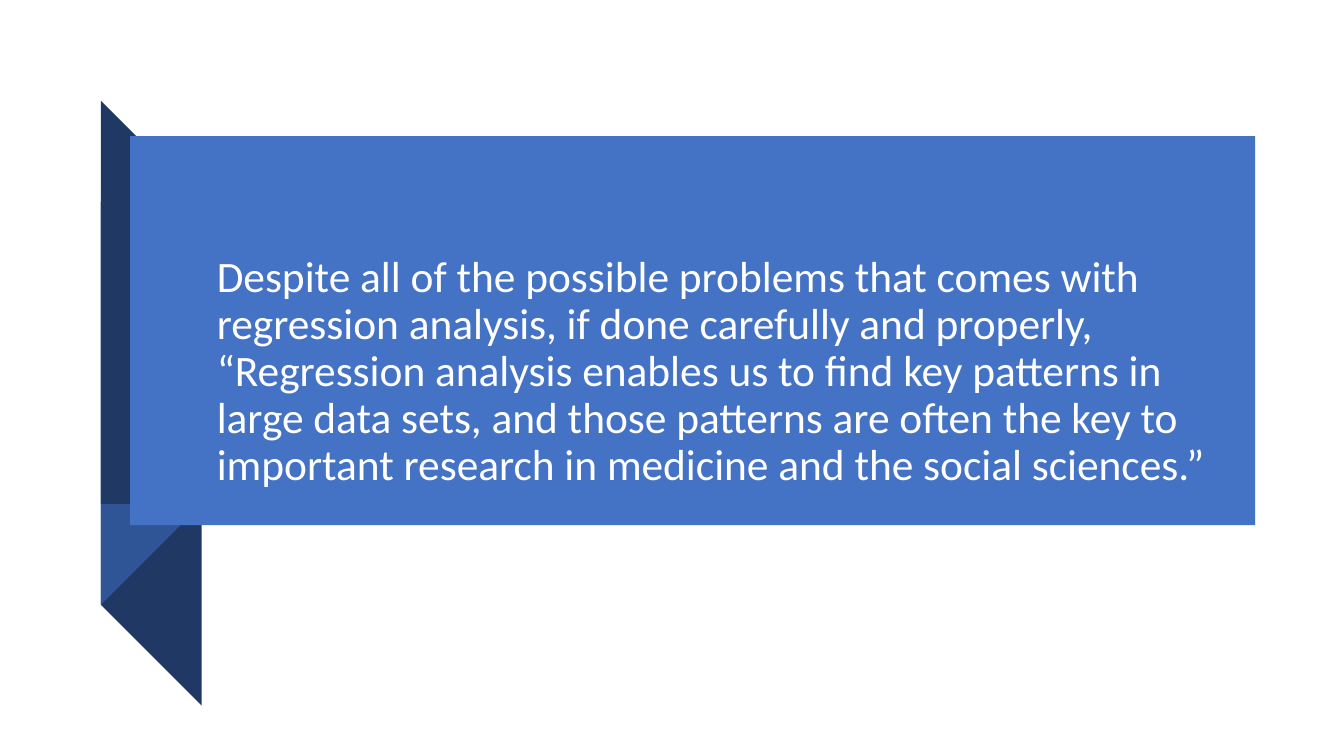
"""Build a slide with a closing quotation on a folded blue ribbon banner."""
from pptx import Presentation
from pptx.dml.color import RGBColor
from pptx.enum.shapes import MSO_SHAPE
from pptx.enum.text import MSO_ANCHOR, MSO_AUTO_SIZE, PP_ALIGN
from pptx.util import Inches, Pt

COLORS = {"banner": "4472C4", "fold": "2F5597", "shade": "203864", "text": "FFFFFF"}
QUOTE = (
    "Despite all of the possible problems that comes with regression analysis, "
    "if done carefully and properly, “Regression analysis enables us to find key "
    "patterns in large data sets, and those patterns are often the key to "
    "important research in medicine and the social sciences.”"
)


def paint(shape, color):
    """Give a shape a flat fill without outline or shadow."""
    shape.shadow.inherit = False
    shape.fill.solid()
    shape.fill.fore_color.rgb = RGBColor.from_string(COLORS[color])
    shape.line.fill.background()


presentation = Presentation()
presentation.slide_width = Inches(13.33)
presentation.slide_height = Inches(7.5)
slide = presentation.slides.add_slide(presentation.slide_layouts[5])

ribbon_left, banner_left, fold_right, tail_right = 0.92, 1.29, 1.67, 1.82
banner_top, banner_width, banner_height = 1.35, 11.16, 3.86

panels = [
    (ribbon_left, tail_right, 1.93, 2.76, 5.74, 6.56, "shade"),
    (ribbon_left, fold_right, 1.90, 1.56, 5.73, 5.39, "fold"),
    (banner_left, fold_right, 1.36, 1.55, 5.21, 5.40, "shade"),
]
for left, right, left_top, right_top, left_bottom, right_bottom, color in panels:
    outline = slide.shapes.build_freeform(left, left_bottom, scale=Inches(1))
    outline.add_line_segments(
        [(right, right_bottom), (right, right_top), (left, left_top)], close=True
    )
    paint(outline.convert_to_shape(), color)

banner = slide.shapes.add_shape(
    MSO_SHAPE.RECTANGLE,
    Inches(banner_left), Inches(banner_top), Inches(banner_width), Inches(banner_height),
)
paint(banner, "banner")

title = slide.shapes.title
title.left, title.top = Inches(2.05), Inches(1.76)
title.width, title.height = Inches(10.1), Inches(3.15)
title.element.getparent().append(title.element)

text_frame = title.text_frame
text_frame.text = QUOTE
text_frame.word_wrap = True
text_frame.auto_size = MSO_AUTO_SIZE.NONE
text_frame.vertical_anchor = MSO_ANCHOR.BOTTOM
paragraph = text_frame.paragraphs[0]
paragraph.alignment = PP_ALIGN.LEFT
paragraph.line_spacing = 0.9
font = paragraph.runs[0].font
font.name = "Calibri"
font.size = Pt(31)
font.color.rgb = RGBColor.from_string(COLORS["text"])

presentation.save("out.pptx")
